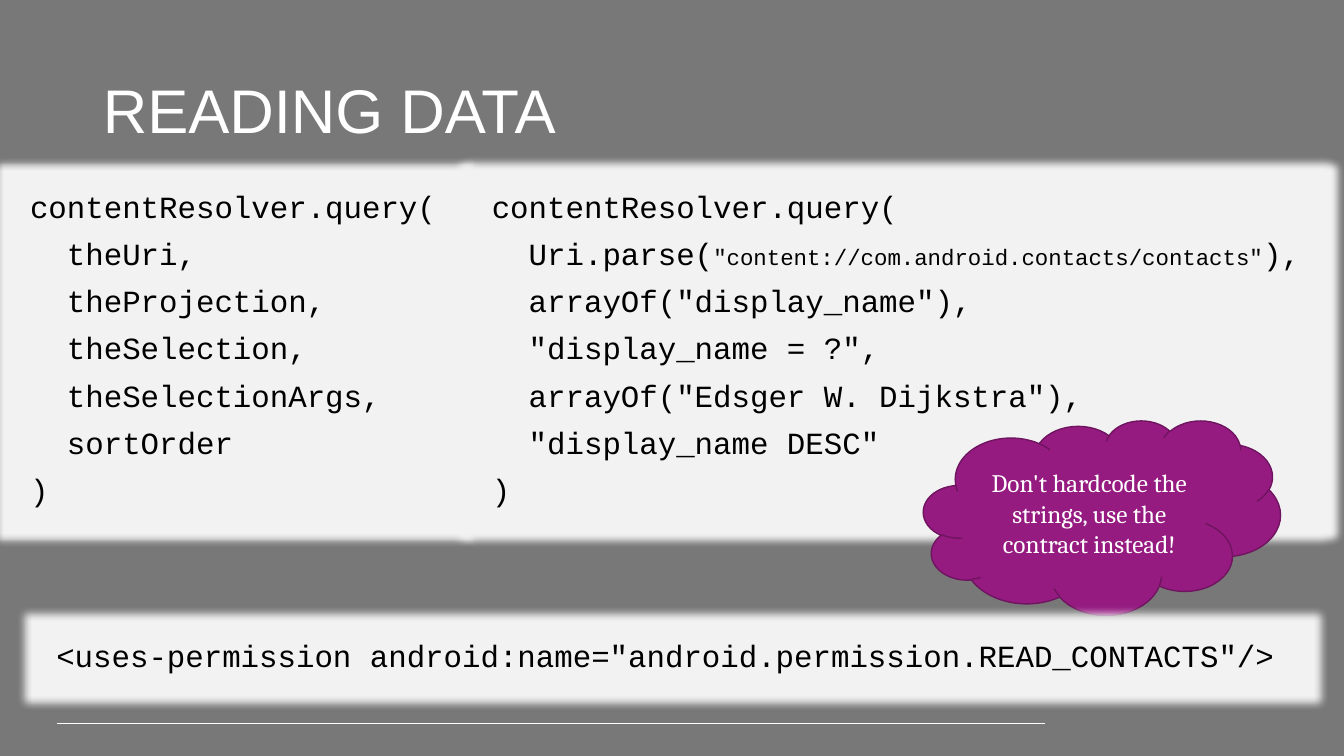
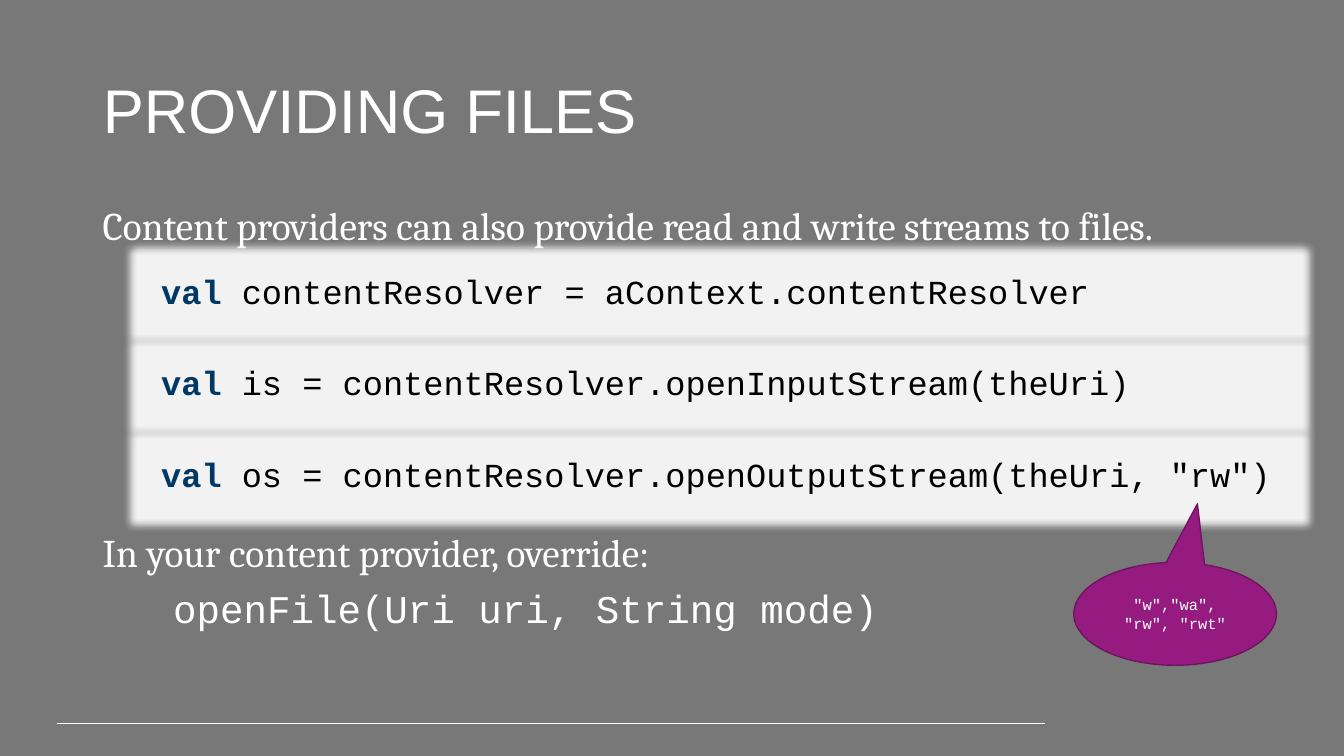
from dataclasses import dataclass

from lxml import etree
from pptx import Presentation
from pptx.dml.color import RGBColor
from pptx.enum import shapes, text as txt
from pptx.oxml import ns
from pptx.util import Inches, Pt


@dataclass(frozen=True)
class Theme:
    # Colours
    background: str = "787878"
    light: str = "FFFFFF"
    panel: str = "F2F2F2"
    code: str = "000000"
    keyword: str = "003865"
    accent: str = "961B81"
    accent_edge: str = "6F145F"
    # Fonts
    heading_font: str = "Arial"
    body_font: str = "Cambria"
    code_font: str = "Courier New"
    # Type sizes in points
    title_size: int = 44
    body_size: int = 28
    snippet_size: int = 24
    listing_size: int = 22
    remark_size: int = 18
    small_code_size: int = 16
    modes_size: int = 11
    # Panel glow in inches
    glow: float = 0.15


THEME = Theme()


def write(frame, lines, align=None, spacing=0.9, before=10, **font):
    """Fill a frame; a line is a string or a list of (string, font changes)."""
    frame.word_wrap = True
    for index, line in enumerate(lines):
        paragraph = frame.paragraphs[0] if index == 0 else frame.add_paragraph()
        paragraph.alignment = align
        paragraph.line_spacing = spacing
        paragraph.space_before = Pt(before if index else 0)
        for words, changes in [(line, {})] if isinstance(line, str) else line:
            look = {"bold": False, **font, **changes}
            run = paragraph.add_run()
            run.text = words
            run.font.name = look["name"]
            run.font.size = Pt(look["size"])
            run.font.bold = look["bold"]
            run.font.color.rgb = RGBColor.from_string(look["color"])


def box(left, top, width, height):
    return [Inches(length) for length in (left, top, width, height)]


class Deck:
    def __init__(self, theme):
        self.theme = theme
        self.prs = Presentation()
        self.prs.slide_width, self.prs.slide_height = Inches(13.33), Inches(7.5)
        fill = self.prs.slide_master.background.fill
        fill.solid()
        fill.fore_color.rgb = RGBColor.from_string(theme.background)
        self.slide = None

    def new_slide(self, heading):
        theme = self.theme
        self.slide = self.prs.slides.add_slide(self.prs.slide_layouts[5])
        title = self.slide.shapes.title
        title.left, title.top, title.width, title.height = box(0.92, 0.4, 11.5, 1.45)
        title.text_frame.vertical_anchor = txt.MSO_ANCHOR.MIDDLE
        write(title.text_frame, [heading], align=txt.PP_ALIGN.LEFT,
              name=theme.heading_font, size=theme.title_size, color=theme.light)
        self.footer_rule()

    def footer_rule(self):
        rule = self.slide.shapes.add_connector(
            shapes.MSO_CONNECTOR.STRAIGHT, *box(0.57, 7.18, 10.36, 7.18))
        rule.line.color.rgb = RGBColor.from_string(self.theme.light)
        rule.line.width = Pt(0.75)
        etree.SubElement(rule._element.spPr, ns.qn("a:effectLst"))

    def shape(self, kind, place, fill):
        shape = self.slide.shapes.add_shape(kind, *box(*place))
        shape.shadow.inherit = False
        shape.fill.solid()
        shape.fill.fore_color.rgb = RGBColor.from_string(fill)
        return shape

    def code_panel(self, place, lines, size):
        theme = self.theme
        panel = self.shape(shapes.MSO_SHAPE.RECTANGLE, place, theme.panel)
        panel.line.fill.background()
        # Soft glow in the panel colour
        effects = panel._element.spPr.find(ns.qn("a:effectLst"))
        glow = etree.SubElement(effects, ns.qn("a:glow"), rad=str(Inches(theme.glow)))
        etree.SubElement(glow, ns.qn("a:srgbClr"), val=theme.panel)
        panel.text_frame.vertical_anchor = txt.MSO_ANCHOR.TOP
        panel.text_frame.auto_size = txt.MSO_AUTO_SIZE.SHAPE_TO_FIT_TEXT
        write(panel.text_frame, lines, align=txt.PP_ALIGN.LEFT,
              name=theme.code_font, size=size, color=theme.code)

    def body(self, place, lines):
        theme = self.theme
        frame = self.slide.shapes.add_textbox(*box(*place)).text_frame
        frame.auto_size = txt.MSO_AUTO_SIZE.SHAPE_TO_FIT_TEXT
        write(frame, lines, name=theme.body_font, size=theme.body_size,
              color=theme.light)

    def bubble(self, kind, place, words, font, size, pointer=()):
        theme = self.theme
        bubble = self.shape(kind, place, theme.accent)
        bubble.line.color.rgb = RGBColor.from_string(theme.accent_edge)
        bubble.line.width = Pt(1)
        for index, value in enumerate(pointer):
            bubble.adjustments[index] = value
        bubble.text_frame.vertical_anchor = txt.MSO_ANCHOR.MIDDLE
        write(bubble.text_frame, [words], align=txt.PP_ALIGN.CENTER, spacing=1.0,
              name=font, size=size, color=theme.light)


def reading_data(deck):
    theme = deck.theme
    deck.new_slide("READING DATA")

    # Query signature beside a filled-in example
    deck.code_panel((0.2, 1.85, 4.27, 3.28), [
        "contentResolver.query(",
        "  theUri,",
        "  theProjection,",
        "  theSelection,",
        "  theSelectionArgs,",
        "  sortOrder",
        ")",
    ], theme.listing_size)
    deck.code_panel((4.78, 1.85, 8.26, 3.28), [
        "contentResolver.query(",
        [("  Uri.parse(", {}),
         ('"content://com.android.contacts/contacts"', {"size": theme.small_code_size}),
         ("),", {})],
        '  arrayOf("display_name"),',
        '  "display_name = ?",',
        '  arrayOf("Edsger W. Dijkstra"),',
        '  "display_name DESC"',
        ")",
    ], theme.listing_size)

    # Advice and required permission
    deck.bubble(shapes.MSO_SHAPE.CLOUD, (9.16, 4.17, 3.54, 1.93),
                "Don't hardcode the strings, use the contract instead!",
                theme.body_font, theme.remark_size)
    deck.code_panel((0.46, 6.31, 12.41, 0.43), [
        '<uses-permission android:name="android.permission.READ_CONTACTS"/>',
    ], theme.listing_size)


def providing_files(deck):
    theme = deck.theme
    deck.new_slide("PROVIDING FILES")
    deck.body((0.92, 2, 11.74, 0.53),
              ["Content providers can also provide read and write streams to files."])

    # Evenly stacked declarations
    declarations = [
        "contentResolver = aContext.contentResolver",
        "is = contentResolver.openInputStream(theUri)",
        'os = contentResolver.openOutputStream(theUri, "rw")',
    ]
    keyword = ("val ", {"bold": True, "color": theme.keyword})
    for row, declaration in enumerate(declarations):
        deck.code_panel((1.5, 2.68 + 0.91 * row, 11.25, 0.47),
                        [[keyword, (declaration, {})]], theme.snippet_size)

    # Method to override and the file modes
    deck.body((0.92, 5.24, 11.74, 1.1), [
        "In your content provider, override:",
        [("   openFile(Uri uri, String mode)", {"name": theme.code_font})],
    ])
    deck.bubble(shapes.MSO_SHAPE.OVAL_CALLOUT, (10.65, 5.58, 2.01, 1.02),
                '"w","wa", "rw", "rwt"', theme.code_font, theme.modes_size,
                pointer=(0.11, -1.07))


def main():
    deck = Deck(THEME)
    reading_data(deck)
    providing_files(deck)
    deck.prs.save("out.pptx")


if __name__ == "__main__":
    main()
